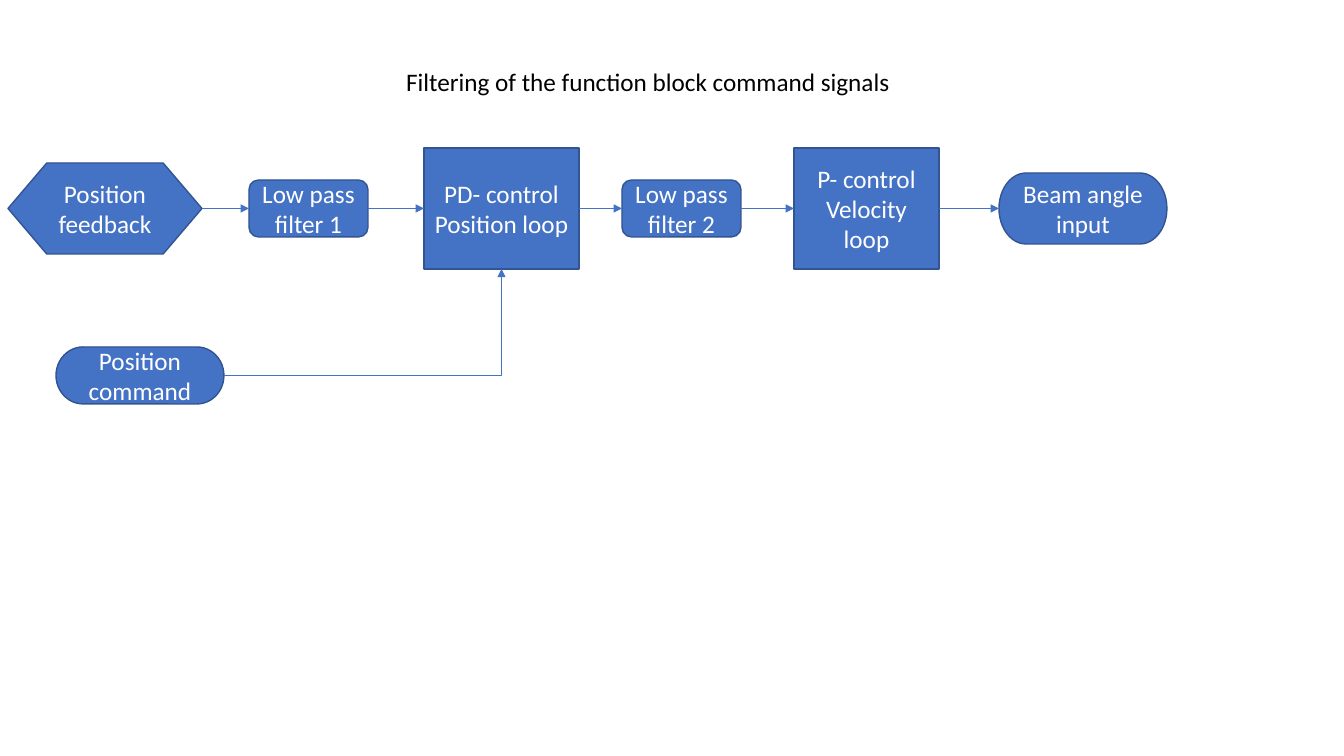
import itertools
import pptx
import pptx.dml.color
import pptx.enum.shapes
import pptx.enum.text
import pptx.oxml.ns
import pptx.util
from lxml import etree

RGB = pptx.dml.color.RGBColor
BLUE = RGB(0x44, 0x72, 0xC4)
EDGE = RGB(0x32, 0x54, 0x91)
WHITE = RGB(0xFF, 0xFF, 0xFF)
BLACK = RGB(0x00, 0x00, 0x00)

FORM = pptx.enum.shapes.MSO_SHAPE
LINK = pptx.enum.shapes.MSO_CONNECTOR
ALIGN = pptx.enum.text.PP_ALIGN
ANCHOR = pptx.enum.text.MSO_ANCHOR
BOTTOM, LEFT, RIGHT = 2, 1, 3  # connection sites

# Main chain: form, left, width, height, label
STEPS = [
    (FORM.FLOWCHART_PREPARATION, 0, 194, 91, "Position feedback"),
    (FORM.FLOWCHART_ALTERNATE_PROCESS, 241, 119, 57, "Low pass filter 1"),
    (FORM.FLOWCHART_PROCESS, 416, 155, 121, "PD- control Position loop"),
    (FORM.FLOWCHART_ALTERNATE_PROCESS, 614, 119, 57, "Low pass filter 2"),
    (FORM.FLOWCHART_PROCESS, 786, 145, 121, "P- control Velocity loop"),
    (FORM.FLOWCHART_TERMINATOR, 991, 168, 71, "Beam angle input"),
]
ROW = 121  # height of the main chain


def px(num):
    return pptx.util.Emu(round(num * 914400 / 100.8))


def style(frame, text, color, align):
    frame.text = text
    para = frame.paragraphs[0]
    para.alignment = align
    para.line_spacing = 1.0
    font = para.runs[0].font
    font.name = "Calibri"
    font.size = pptx.util.Pt(18)
    font.color.rgb = color


def block(slide, form, left, top, width, height, label):
    shape = slide.shapes.add_shape(form, px(left), px(top), px(width), px(height))
    shape.shadow.inherit = False
    shape.fill.solid()
    shape.fill.fore_color.rgb = BLUE
    shape.line.color.rgb = EDGE
    shape.line.width = pptx.util.Pt(1)
    shape.text_frame.vertical_anchor = ANCHOR.MIDDLE
    style(shape.text_frame, label, WHITE, ALIGN.CENTER)
    return shape


def arrow(slide, start, end, site, kind=LINK.STRAIGHT):
    line = slide.shapes.add_connector(kind, 0, 0, 0, 0)
    line.begin_connect(start, RIGHT)
    line.end_connect(end, site)
    line.line.color.rgb = BLUE
    line.line.width = pptx.util.Pt(0.5)
    qn = pptx.oxml.ns.qn
    etree.SubElement(line.line._get_or_add_ln(), qn("a:tailEnd"), type="triangle")
    props = line._element.spPr
    etree.SubElement(props, qn("a:effectLst"))
    if kind == LINK.ELBOW:  # a single bend
        props.find(qn("a:prstGeom")).set("prst", "bentConnector2")


def heading(slide, left, top, width, height):
    title = slide.shapes.title
    title.left, title.top = px(left), px(top)
    title.width, title.height = px(width), px(height)
    frame = title.text_frame
    frame.word_wrap = True
    frame.auto_size = pptx.enum.text.MSO_AUTO_SIZE.SHAPE_TO_FIT_TEXT
    frame.vertical_anchor = ANCHOR.TOP
    style(frame, "Filtering of the function block command signals", BLACK, ALIGN.LEFT)


def flow(slide, left, top):
    # Blocks centred on one row
    chain = [block(slide, form, left + x, top + (ROW - high) // 2, wide, high, label)
             for form, x, wide, high, label in STEPS]
    for start, end in itertools.pairwise(chain):
        arrow(slide, start, end, LEFT)

    # Command fed into the position loop from below
    order = block(slide, FORM.FLOWCHART_TERMINATOR, left + 48, top + 199, 168, 57,
                  "Position command")
    arrow(slide, order, chain[2], BOTTOM, LINK.ELBOW)


deck = pptx.Presentation()
deck.slide_width, deck.slide_height = px(1344), px(756)
page = deck.slides.add_slide(deck.slide_layouts.get_by_name("Title Only"))
heading(page, 396, 61, 721, 40)
flow(page, 8, 148)
deck.save("out.pptx")
